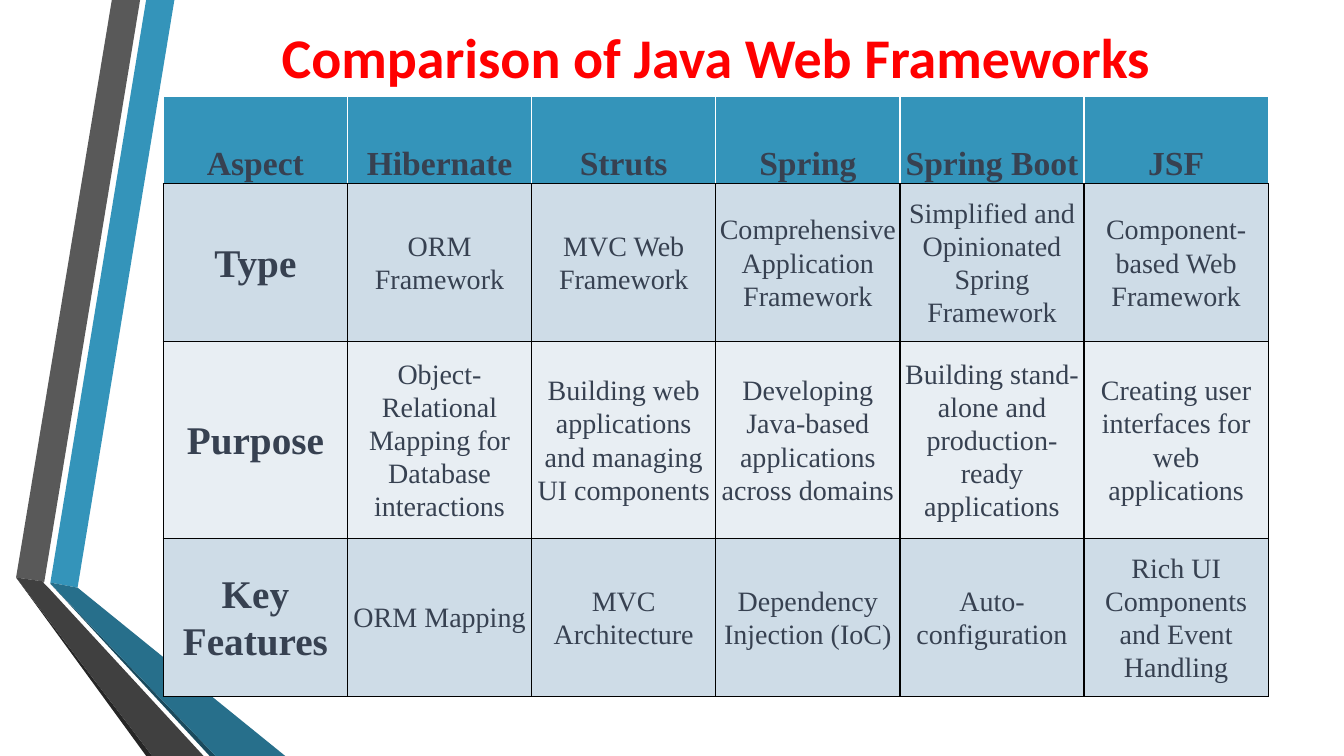
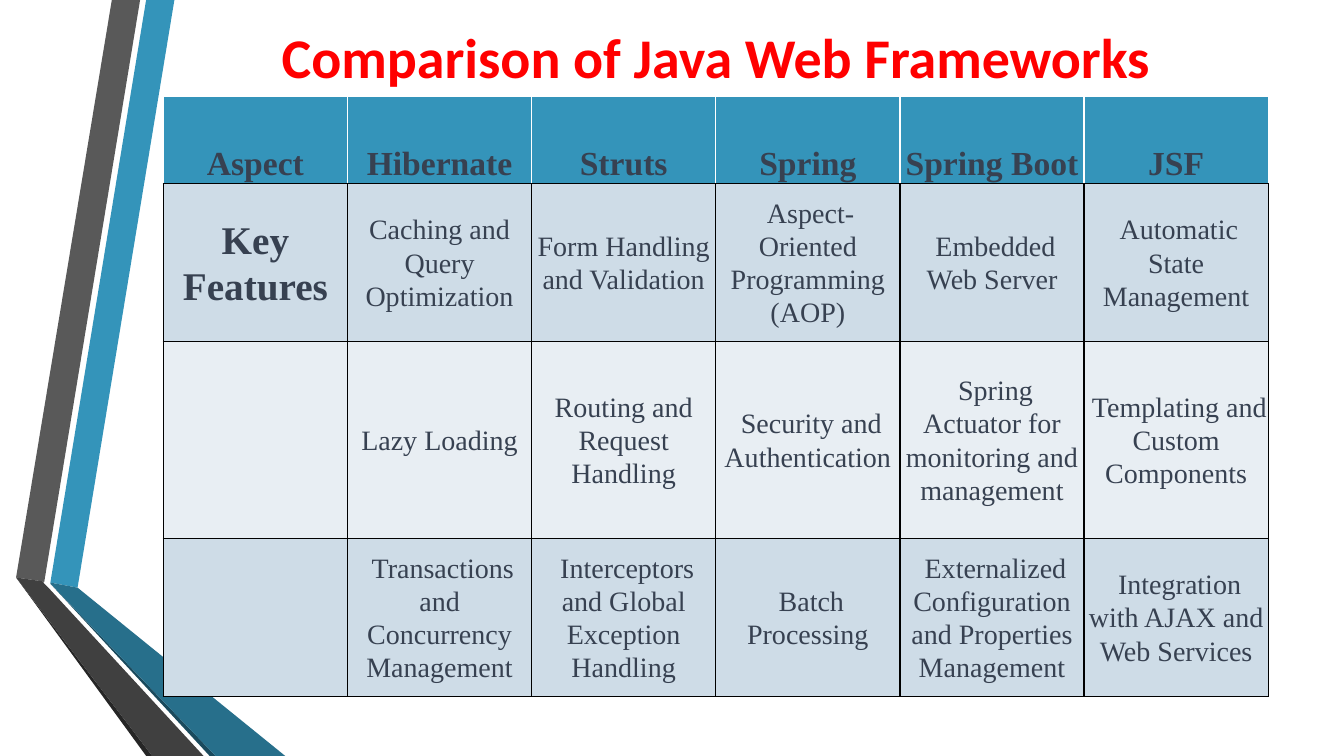
from dataclasses import dataclass

from lxml import etree
from pptx import Presentation
from pptx import util as u
from pptx.dml.color import RGBColor
from pptx.enum import text
from pptx.oxml import ns

COLORS = {
    "white": "FFFFFF",
    "black": "000000",
    "title": "FF0000",
    "text": "374151",
    "header": "3494BA",
    "row_dark": "CEDCE7",
    "row_light": "E8EEF3",
    "blue": "3494BA",
    "blue_fold": "276F8B",
    "blue_shade": "1A4A5D",
    "gray": "595959",
    "gray_fold": "404040",
    "gray_shade": "262626",
}
TITLE = "Comparison of Java Web Frameworks"
TITLE_FONT, TABLE_FONT = "Calibri", "Times New Roman"
LEFT, CONTENT_WIDTH = 1.62, 10.96
TITLE_TOP, TITLE_HEIGHT = 0.15, 0.81
TABLE_TOP = TITLE_TOP + TITLE_HEIGHT
ROW_HEIGHTS = (0.86, 1.57, 1.95, 1.57)
CELL_MARGIN = 0.01
HEADER = ("Aspect", "Hibernate", "Struts", "Spring", "Spring Boot", "JSF")


@dataclass(frozen=True)
class Band:
    color: str
    points: tuple[tuple[float, float], ...]


BANDS = (
    Band("blue", ((0.5, 5.78), (0.77, 5.83), (1.73, 0), (1.45, 0))),
    Band("gray", ((1.39, 0), (1.11, 0), (0.16, 5.73), (0.44, 5.77))),
    Band("gray_shade", ((0.16, 5.73), (1.45, 7.5), (1.51, 7.5))),
    Band("blue_shade", ((0.5, 5.79), (2.08, 7.5), (2.14, 7.5))),
    Band("blue_fold", ((0.5, 5.79), (2.14, 7.5), (2.83, 7.5), (0.77, 5.83), (0.5, 5.78))),
    Band("gray_fold", ((2.02, 7.5), (0.48, 5.83), (0.43, 5.78), (0.44, 5.77),
                       (0.16, 5.73), (1.51, 7.5))),
)

COMPARISONS = (
    (
        ("Type", "ORM Framework", "MVC Web Framework",
         "Comprehensive Application Framework",
         "Simplified and Opinionated Spring Framework",
         "Component-based Web Framework"),
        ("Purpose", "Object-Relational Mapping for Database interactions",
         "Building web applications and managing UI components",
         "Developing Java-based applications across domains",
         "Building stand-alone and production-ready applications",
         "Creating user interfaces for web applications"),
        ("Key Features", "ORM Mapping", "MVC Architecture",
         "Dependency Injection (IoC)", "Auto-configuration",
         "Rich UI Components and Event Handling"),
    ),
    (
        ("Key Features", "Caching and Query Optimization",
         "Form Handling and Validation",
         " Aspect-Oriented Programming (AOP)", " Embedded Web Server",
         " Automatic State Management"),
        ("", "Lazy Loading", "Routing and Request Handling",
         " Security and Authentication",
         " Spring Actuator for monitoring and management",
         " Templating and Custom Components"),
        ("", " Transactions and Concurrency Management",
         " Interceptors and Global Exception Handling", " Batch Processing",
         " Externalized Configuration and Properties Management",
         " Integration with AJAX and Web Services"),
    ),
)


def rgb(name: str) -> RGBColor:
    return RGBColor.from_string(COLORS[name])


def write_text(frame, content: str, *, size: float, font: str, color: str,
               bold: bool = False, line_spacing: float | None = None,
               space: float | None = None) -> None:
    """Fill a text frame with one centred paragraph; space is in points."""
    frame.word_wrap = True
    paragraph = frame.paragraphs[0]
    paragraph.alignment = text.PP_ALIGN.CENTER
    if line_spacing is not None:
        paragraph.line_spacing = line_spacing
    if space is not None:
        paragraph.space_before = paragraph.space_after = u.Pt(space)
    run = paragraph.add_run()
    run.text = content
    run.font.size = u.Pt(size)
    run.font.name = font
    run.font.bold = bold
    run.font.color.rgb = rgb(color)


def add_band(slide, band: Band) -> None:
    start, *rest = [(u.Inches(x), u.Inches(y)) for x, y in band.points]
    builder = slide.shapes.build_freeform(*start)
    builder.add_line_segments(rest, close=True)
    shape = builder.convert_to_shape()
    shape.shadow.inherit = False
    shape.fill.solid()
    shape.fill.fore_color.rgb = rgb(band.color)
    shape.line.fill.background()


def add_title(slide) -> None:
    box = slide.shapes.add_textbox(u.Inches(LEFT), u.Inches(TITLE_TOP),
                                   u.Inches(CONTENT_WIDTH), u.Inches(TITLE_HEIGHT))
    box.text_frame.vertical_anchor = text.MSO_ANCHOR.MIDDLE
    write_text(box.text_frame, TITLE, size=40, font=TITLE_FONT, color="title", bold=True)


def set_borders(cell, sides: dict[str, str]) -> None:
    """Draw 1 pt borders; sides maps L, R, T, B, in that order, to colour names."""
    properties = cell._tc.get_or_add_tcPr()
    for index, (side, color) in enumerate(sides.items()):
        line = etree.Element(ns.qn(f"a:ln{side}"), w=str(u.Pt(1)))
        fill = etree.SubElement(line, ns.qn("a:solidFill"))
        etree.SubElement(fill, ns.qn("a:srgbClr"), val=COLORS[color])
        properties.insert(index, line)


def format_cell(cell, content: str, row: int, column: int) -> None:
    is_header = row == 0
    cell.margin_left = cell.margin_right = u.Inches(CELL_MARGIN)
    cell.margin_top = cell.margin_bottom = u.Inches(CELL_MARGIN)
    cell.vertical_anchor = text.MSO_ANCHOR.BOTTOM if is_header else text.MSO_ANCHOR.MIDDLE
    cell.fill.solid()
    cell.fill.fore_color.rgb = rgb(
        "header" if is_header else "row_dark" if row % 2 else "row_light")
    edge = "white" if is_header else "black"
    set_borders(cell, {"L": edge, "R": edge, "T": edge, "B": "black"})
    if content:
        size = 24 if is_header else 28 if column == 0 else 20
        write_text(cell.text_frame, content, size=size, font=TABLE_FONT, color="text",
                   bold=is_header or column == 0, line_spacing=1.07, space=24)


def add_comparison(slide, body: tuple[tuple[str, ...], ...]) -> None:
    rows = (HEADER, *body)
    table = slide.shapes.add_table(
        len(rows), len(HEADER), u.Inches(LEFT), u.Inches(TABLE_TOP),
        u.Inches(CONTENT_WIDTH), u.Inches(sum(ROW_HEIGHTS))).table
    table.horz_banding = False
    for column in table.columns:
        column.width = u.Inches(CONTENT_WIDTH / len(HEADER))
    for row_index, (values, height) in enumerate(zip(rows, ROW_HEIGHTS)):
        table.rows[row_index].height = u.Inches(height)
        for column_index, value in enumerate(values):
            format_cell(table.cell(row_index, column_index), value,
                        row_index, column_index)


def main() -> None:
    presentation = Presentation()
    presentation.slide_width = u.Inches(13.33)
    presentation.slide_height = u.Inches(7.5)
    blank_layout = presentation.slide_layouts[6]
    for body in COMPARISONS:
        slide = presentation.slides.add_slide(blank_layout)
        for band in BANDS:
            add_band(slide, band)
        add_title(slide)
        add_comparison(slide, body)
    presentation.save("out.pptx")


if __name__ == "__main__":
    main()
